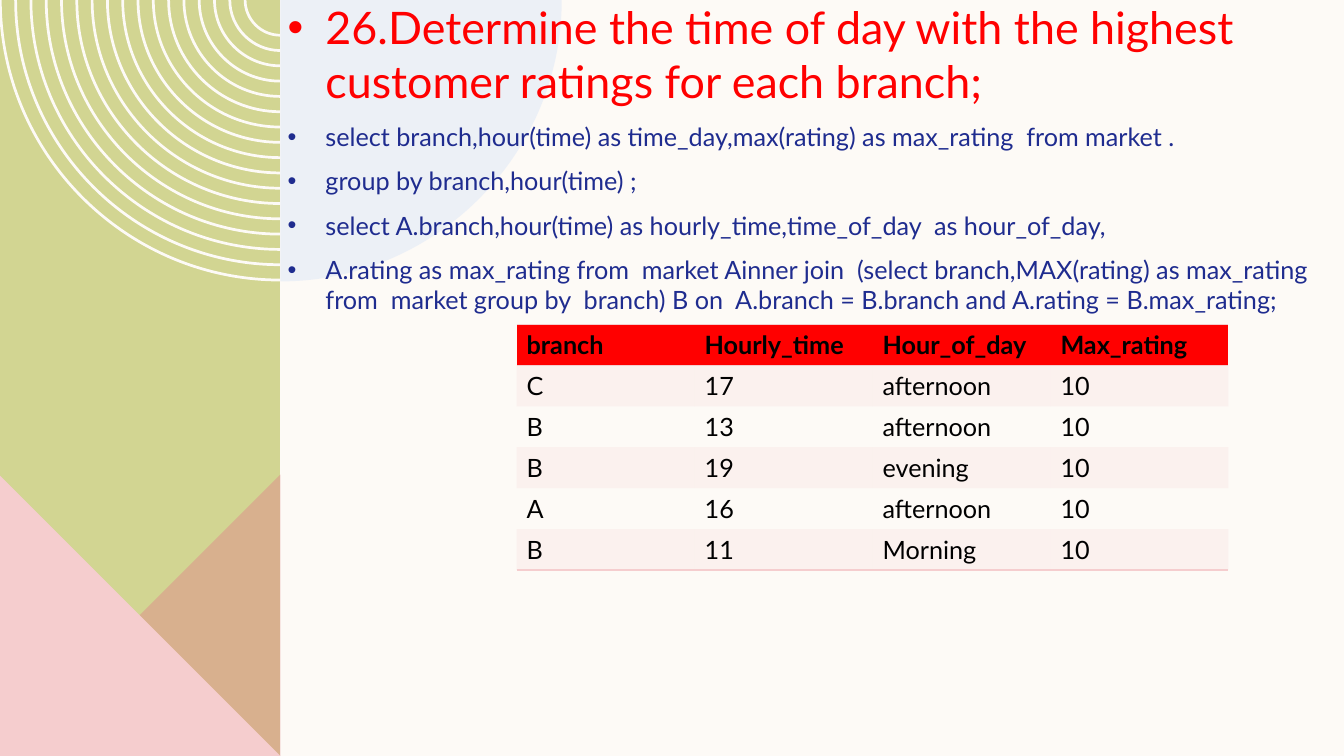
from lxml.etree import SubElement
from pptx import Presentation
from pptx.dml.color import RGBColor
from pptx.enum.text import MSO_ANCHOR
from pptx.oxml import parse_xml
from pptx.oxml.ns import nsdecls, qn
from pptx.util import Pt

PX = 9525
FINE = 100
BOW = 0.55
FONT = "Lato"
CREAM, PINK, RED, NAVY = "FDFAF6", "F5CDCE", "FF0000", "1F2C8F"
EDGE, RADIUS = 267, 268
HEIGHT = 720
TITLE = "26.Determine the time of day with the highest customer ratings for each branch;"
QUERY = [
    "select branch,hour(time) as time_day,max(rating) as max_rating  from market .",
    "group by branch,hour(time) ;",
    "select A.branch,hour(time) as hourly_time,time_of_day  as hour_of_day,",
    "A.rating as max_rating from  market Ainner join  (select branch,MAX(rating) as max_rating "
    "from  market group by  branch) B on  A.branch = B.branch and A.rating = B.max_rating;",
]
ROWS = [
    ("branch", "Hourly_time", "Hour_of_day", "Max_rating"),
    ("C", "17", "afternoon", "10"),
    ("B", "13", "afternoon", "10"),
    ("B", "19", "evening", "10"),
    ("A", "16", "afternoon", "10"),
    ("B", "11", "Morning", "10"),
]


def px(n):
    return round(n * PX)


def paint(fill, color, alpha=100):
    fill.solid()
    fill.fore_color.rgb = RGBColor.from_string(color)
    if alpha < 100:
        tone = fill._xPr.find(qn("a:solidFill"))[0]
        SubElement(tone, qn("a:alpha"), val=str(alpha * 1000))


def style(para, size, color, bold=False):
    font = para.font
    font.name, font.size, font.bold = FONT, Pt(size), bold
    font.color.rgb = RGBColor.from_string(color)


def arc(radius, side):
    unit = [(1, 0), (1, BOW), (BOW, 1), (0, 1)]
    return [(EDGE + side * radius * x, radius * y) for x, y in unit]


def outline(shapes, loops, color, alpha=100):
    loops = [[(x * FINE, y * FINE) for x, y in loop] for loop in loops]
    form = shapes.build_freeform(*loops[0][0], scale=PX / FINE)
    for i, loop in enumerate(loops):
        if i:
            form.move_to(*loop[0])
        form.add_line_segments(loop[1:], close=True)
    shape = form.convert_to_shape()
    shape.shadow.inherit = False
    shape.line.fill.background()
    paint(shape.fill, color, alpha)
    return shape


def bend(shape):
    route = next(shape._element.iter(qn("a:path")))
    count = 0
    for step in list(route):
        if step.tag == qn("a:moveTo"):
            count = 0
        elif step.tag == qn("a:lnTo"):
            spot = count % 4
            count += 1
            if spot == 0:
                curve = parse_xml(f'<a:cubicBezTo {nsdecls("a")}/>')
                step.addprevious(curve)
            if spot < 3:
                curve.append(step[0])
                route.remove(step)


def decor(shapes):
    left, top = EDGE - RADIUS, HEIGHT - RADIUS
    low, high = (EDGE, HEIGHT), (EDGE, top)
    outline(shapes, [[(left, 0), (EDGE, 0), low, (left, HEIGHT)]], "D2D592")
    radii = [RADIUS - 14.57 * i for i in range(17)]
    rings = [arc(r, -1) + arc(r - 2.6, -1)[::-1] for r in radii]
    bend(outline(shapes, rings, CREAM))
    outline(shapes, [[high, low, (left, HEIGHT)]], "DE8C8C", 50)
    outline(shapes, [[low, (left, HEIGHT), (left, top)]], PINK)
    bend(outline(shapes, [arc(RADIUS, 1) + [(EDGE, 0)]], "DDE7F6", 50))


def bullet(para, text, size, color):
    para.text = text
    para.space_before = Pt(10)
    style(para, size, color)
    props = para._p.get_or_add_pPr()
    props.set("marL", str(px(36)))
    props.set("indent", str(px(-36)))
    marks = (
        f'<a:buClr {nsdecls("a")}><a:srgbClr val="{color}"/></a:buClr>',
        f'<a:buFont {nsdecls("a")} typeface="Arial"/>',
        f'<a:buChar {nsdecls("a")} char="•"/>',
    )
    last = props.find(qn("a:defRPr"))
    for mark in marks:
        last.addprevious(parse_xml(mark))


def body(shapes):
    frame = shapes.add_textbox(px(264), 0, px(1016), px(HEIGHT)).text_frame
    frame.word_wrap = True
    frame.margin_left = frame.margin_right = px(10)
    frame.margin_top = frame.margin_bottom = 0
    bullet(frame.paragraphs[0], TITLE, 32, RED)
    for line in QUERY:
        bullet(frame.add_paragraph(), line, 18, NAVY)


def border(cell, side):
    cell._tc.get_or_add_tcPr().insert(0, parse_xml(
        f'<a:{side} {nsdecls("a")} w="{Pt(1)}"><a:solidFill>'
        f'<a:srgbClr val="{PINK}"/></a:solidFill></a:{side}>'))


def grid(shapes):
    table = shapes.add_table(
        len(ROWS), len(ROWS[0]), px(492), px(309), px(678), px(234)).table
    table.first_row = table.horz_banding = False
    plain = "{2D5ABB26-0587-4C30-8999-92F81FD0307C}"
    table._tbl.tblPr.find(qn("a:tableStyleId")).text = plain
    for i, row in enumerate(ROWS):
        for j, text in enumerate(row):
            cell = table.cell(i, j)
            cell.text = text
            style(cell.text_frame.paragraphs[0], 18, "000000", i == 0)
            if i == 0:
                paint(cell.fill, RED)
            elif i % 2:
                paint(cell.fill, PINK, 20)
            else:
                cell.fill.background()
            if i:
                cell.vertical_anchor = MSO_ANCHOR.MIDDLE
            if i in (0, len(ROWS) - 1):
                border(cell, "lnB")
            if i == 0:
                border(cell, "lnT")


def main():
    deck = Presentation()
    deck.slide_width, deck.slide_height = px(1280), px(HEIGHT)
    slide = deck.slides.add_slide(deck.slide_layouts[6])
    paint(slide.background.fill, CREAM)
    decor(slide.shapes)
    body(slide.shapes)
    grid(slide.shapes)
    deck.save("out.pptx")


if __name__ == "__main__":
    main()
